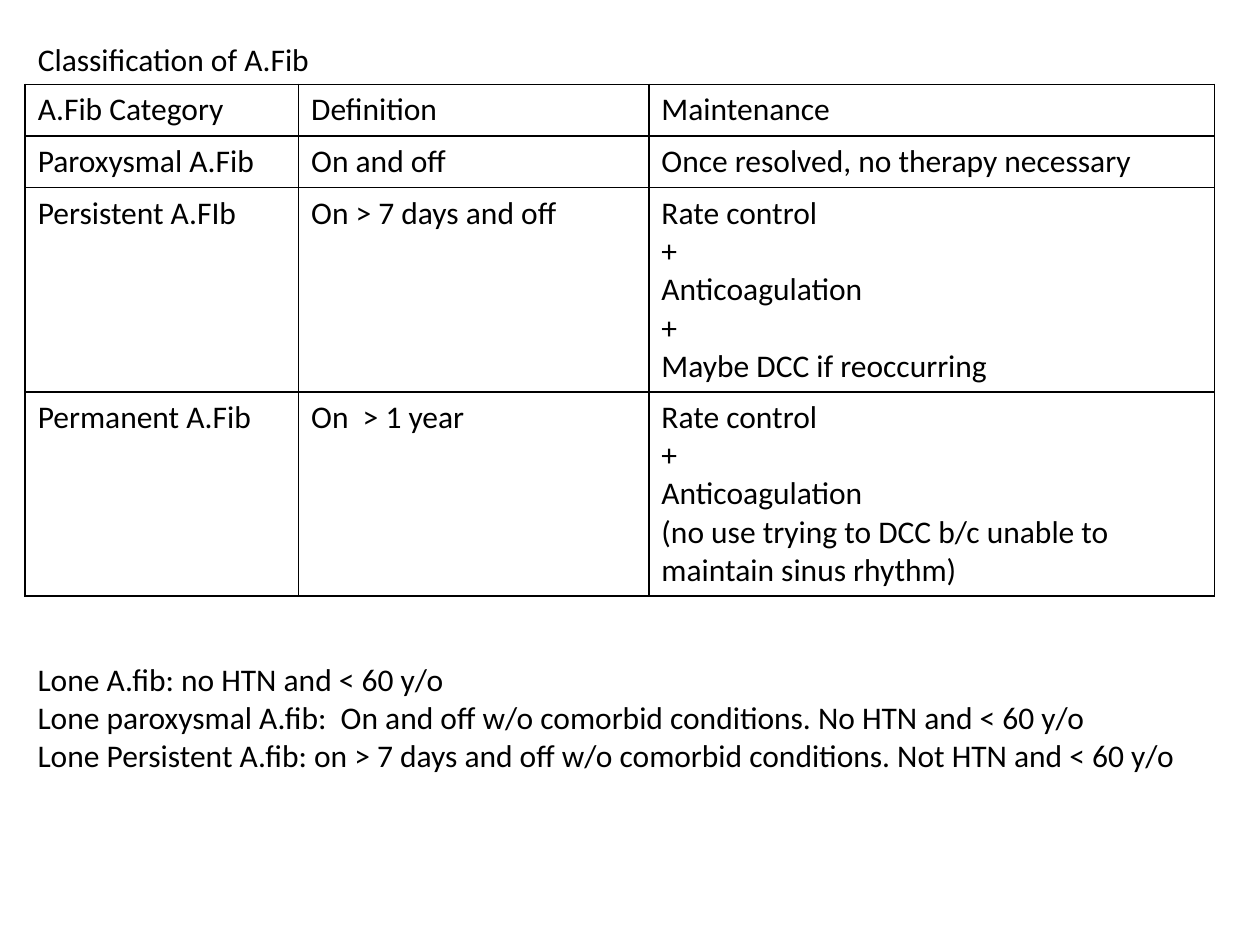
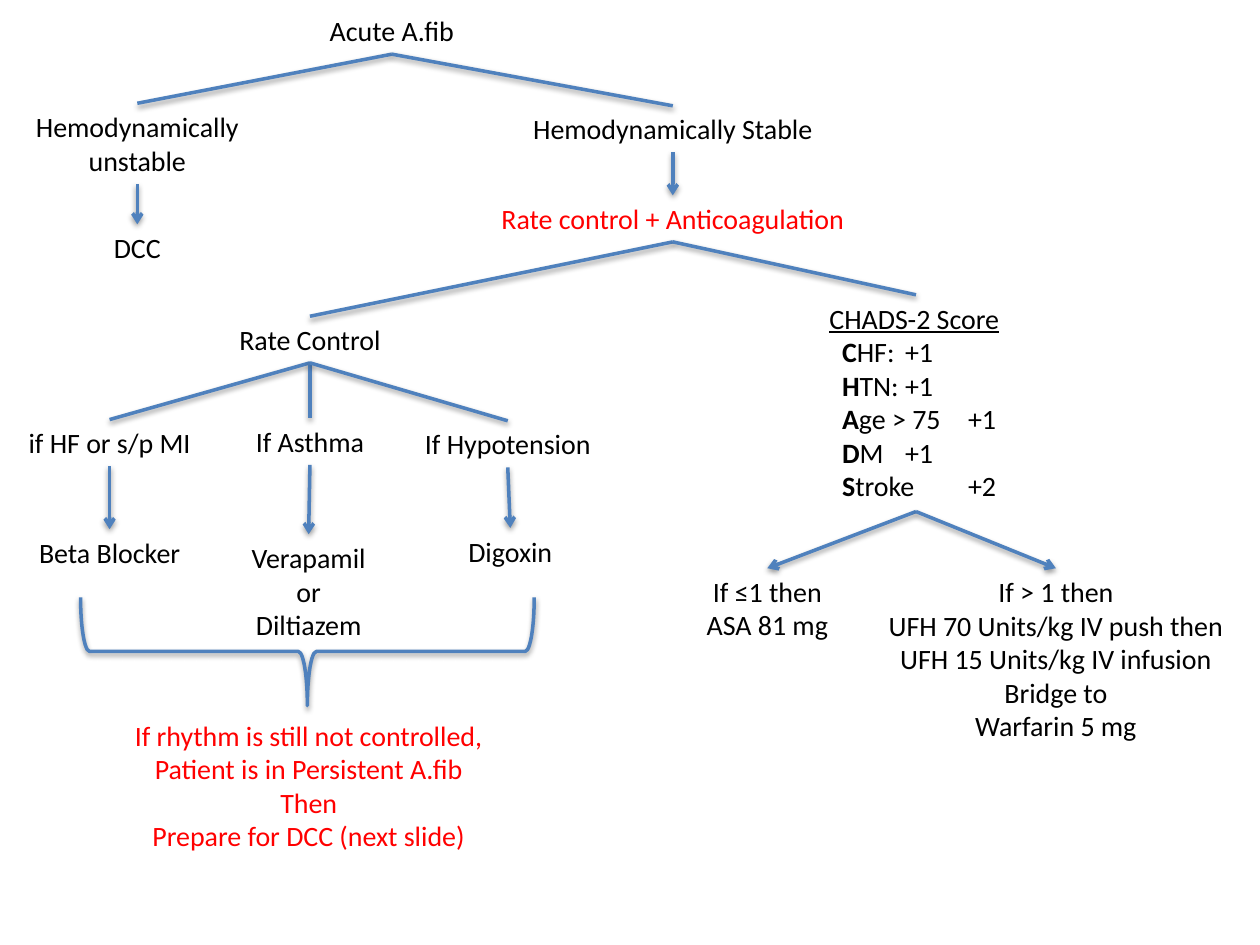
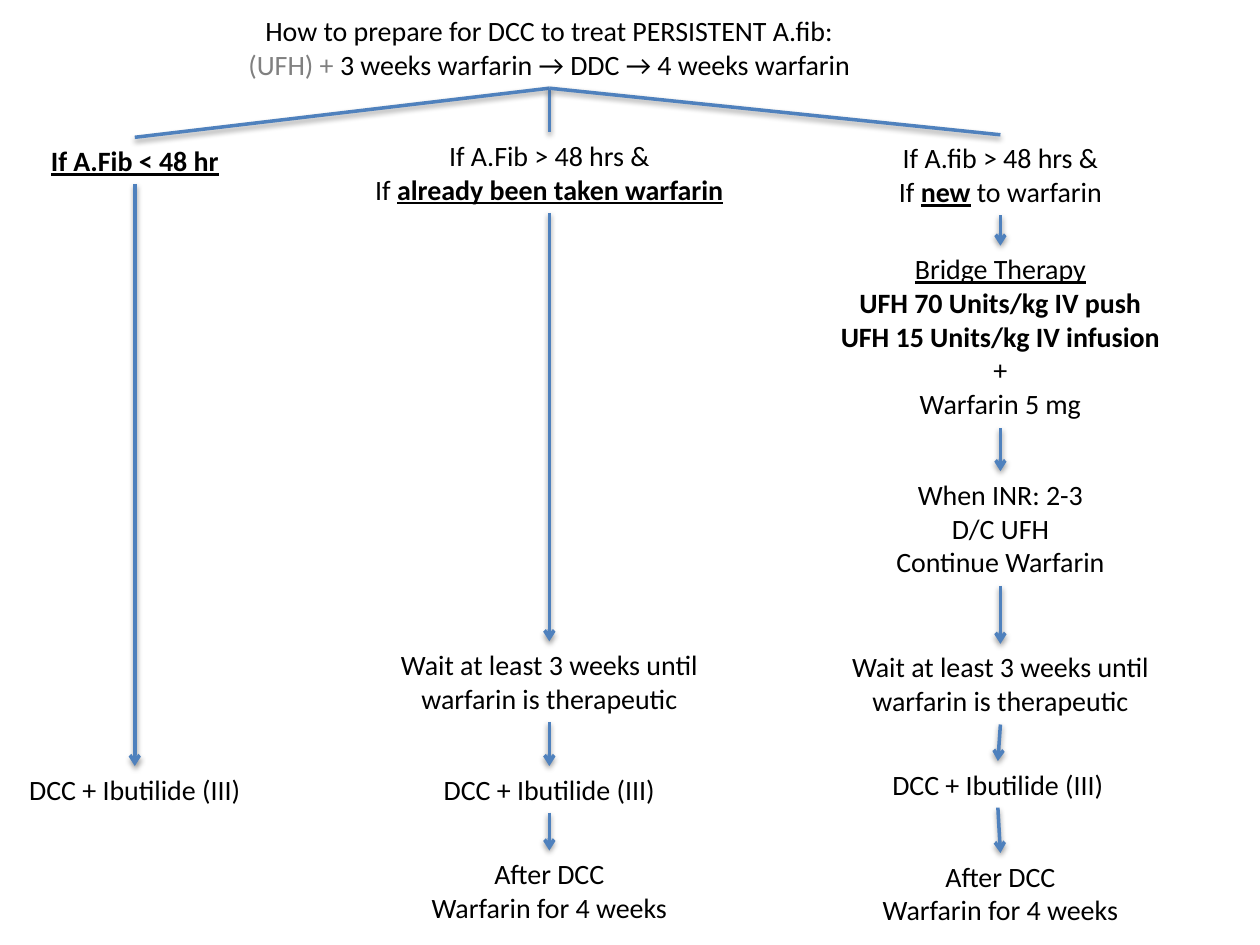
"""Build three slides on the classification and treatment of atrial fibrillation."""
from lxml import etree
from pptx import Presentation
from pptx.dml.color import RGBColor
from pptx.enum.shapes import MSO_CONNECTOR, MSO_SHAPE
from pptx.enum.text import MSO_ANCHOR, MSO_AUTO_SIZE, PP_ALIGN
from pptx.oxml import parse_xml
from pptx.oxml.ns import nsdecls, qn
from pptx.util import Inches, Pt

COLORS = {"text": "000000", "alert": "FF0000", "muted": "808080", "line": "4F81BD"}
FONT = "Calibri"
BOLD, UNDERLINE = {"bold": True}, {"underline": True}
KEY = BOLD | UNDERLINE
SHADOW = (
    f'<a:effectLst {nsdecls("a")}><a:outerShdw blurRad="40000" dist="20000" dir="5400000" '
    'rotWithShape="0"><a:srgbClr val="000000"><a:alpha val="38000"/></a:srgbClr>'
    "</a:outerShdw></a:effectLst>"
)


def write_text(frame, lines, size=16, color="text", align=PP_ALIGN.CENTER, indent=0, tab=0):
    """Write lines, each a string or a list of (text, format) spans."""
    for index, line in enumerate(lines):
        para = frame.paragraphs[0] if index == 0 else frame.add_paragraph()
        para.alignment = align
        if tab and index:
            properties = para._p.get_or_add_pPr()
            properties.set("marL", str(Inches(indent)))
            properties.set("indent", "0")
            stops = etree.SubElement(properties, qn("a:tabLst"))
            etree.SubElement(stops, qn("a:tab"), pos=str(Inches(tab)), algn="l")
        for text, style in [(line, {})] if isinstance(line, str) else line:
            span = para.add_run()
            span.text = text
            span.font.name = FONT
            span.font.size = Pt(size)
            span.font.bold = style.get("bold", False)
            span.font.underline = style.get("underline", False)
            span.font.color.rgb = RGBColor.from_string(COLORS[style.get("color", color)])


def style_line(shape, arrow=False):
    """Give a connector or outline the blue stroke, the soft shadow and an optional arrowhead."""
    shape.line.color.rgb = RGBColor.from_string(COLORS["line"])
    shape.line.width = Pt(2)
    if arrow:
        etree.SubElement(shape.line._get_or_add_ln(), qn("a:tailEnd"), type="arrow")
    shape._element.spPr.append(parse_xml(SHADOW))


deck = Presentation()
deck.slide_width, deck.slide_height = Inches(10), Inches(7.5)
title_only = deck.slide_layouts[5]

left, middle, right = 1.07, 4.36, 7.94
wait = ["Wait at least 3 weeks until", "warfarin is therapeutic"]
convert = ["DCC + Ibutilide (III)"]
after = ["After DCC", "Warfarin for 4 weeks"]
left_aligned = {"size": 18, "align": PP_ALIGN.LEFT}
scores = [("C", "HF:", 1), ("H", "TN:", 1), ("A", "ge > 75", 1), ("D", "M", 1), ("S", "troke", 2)]

classification = {
    "title": (1.39, 0.27, 2.38, ["Classification of A.Fib"], left_aligned),
    "lone types": (4.88, 5.19, 9.36, [
        "Lone A.fib: no HTN and < 60 y/o",
        "Lone paroxysmal A.fib:  On and off w/o comorbid conditions. No HTN and < 60 y/o",
        "Lone Persistent A.fib: on > 7 days and off w/o comorbid conditions. Not HTN and < 60 y/o",
    ], left_aligned),
}
acute = {
    "title": (3.11, 0.06, 1.21, ["Acute A.fib"], {}),
    "unstable": (1.09, 0.82, 1.83, ["Hemodynamically", "unstable"], {}),
    "shock": (1.09, 1.78, 0.58, ["DCC"], {}),
    "stable": (5.34, 0.84, 2.45, ["Hemodynamically Stable"], {}),
    "therapy": (5.34, 1.55, 2.97, ["Rate control + Anticoagulation"], {"color": "alert"}),
    "rate": (2.46, 2.51, 1.35, ["Rate Control"], {}),
    "heart failure": (0.87, 3.33, 1.51, ["if HF or s/p MI"], {}),
    "beta blocker": (0.87, 4.2, 1.39, ["Beta Blocker"], {}),
    "asthma": (2.46, 3.32, 1.08, ["If Asthma"], {}),
    "calcium blocker": (2.45, 4.24, 1.13, ["Verapamil", "or", "Diltiazem"], {}),
    "hypotension": (4.03, 3.34, 1.52, ["If Hypotension"], {}),
    "digoxin": (4.05, 4.19, 0.88, ["Digoxin"], {}),
    "score": (7.27, 2.34, 1.57, [[("CHADS-2 Score", UNDERLINE)]] + [
        [(initial, BOLD), (f"{rest}\t+{points}", {})] for initial, rest, points in scores
    ], {"align": PP_ALIGN.LEFT, "indent": 0.1, "tab": 1}),
    "low score": (6.09, 4.51, 1.18, ["If ≤1 then", "ASA 81 mg"], {}),
    "high score": (8.38, 4.51, 2.89, [
        "If > 1 then", "UFH 70 Units/kg IV push then", "UFH 15 Units/kg IV infusion",
        "Bridge to", "Warfarin 5 mg",
    ], {}),
    "persistent": (2.45, 5.65, 3.01, [
        "If rhythm is still not controlled,", "Patient is in Persistent A.fib",
        "Then", "Prepare for DCC (next slide)",
    ], {"color": "alert"}),
}
preparation = {
    "title": (middle, 0.06, 5.09, [
        "How to prepare for DCC to treat PERSISTENT A.fib:",
        [("(UFH) + ", {"color": "muted"}), ("3 weeks warfarin → DDC → 4 weeks warfarin", {})],
    ], {}),
    "early": (left, 1.09, 1.55, [[("If A.Fib < 48 hr", KEY)]], {}),
    "early convert": (left, 6.08, 1.9, convert, {}),
    "treated": (middle, 1.05, 3.02, [
        "If A.Fib > 48 hrs &", [("If ", {}), ("already been taken warfarin", KEY)],
    ], {}),
    "treated wait": (middle, 5.09, 2.61, wait, {}),
    "treated convert": (middle, 6.08, 1.9, convert, {}),
    "treated after": (middle, 6.75, 2.12, after, {}),
    "new": (right, 1.07, 1.85, [
        "If A.fib > 48 hrs &", [("If ", {}), ("new", KEY), (" to warfarin", {})],
    ], {}),
    "bridge": (right, 1.95, 2.77, [
        [("Bridge Therapy", UNDERLINE)], [("UFH 70 Units/kg IV push", BOLD)],
        [("UFH 15 Units/kg IV infusion", BOLD)], "+", "Warfarin 5 mg",
    ], {}),
    "target": (right, 3.74, 1.89, ["When INR: 2-3", "D/C UFH", "Continue Warfarin"], {}),
    "new wait": (right, 5.11, 2.61, wait, {}),
    "new convert": (right - 0.02, 6.04, 1.9, convert, {}),
    "new after": (right, 6.77, 2.12, after, {}),
}
acute_branches = [
    ("title", "unstable"), ("title", "stable"), ("therapy", "rate"), ("therapy", "score"),
    ("rate", "heart failure"), ("rate", "asthma"), ("rate", "hypotension"),
]
acute_arrows = [
    ("unstable", "shock"), ("stable", "therapy"), ("heart failure", "beta blocker"),
    ("asthma", "calcium blocker"), ("hypotension", "digoxin"),
    ("score", "low score"), ("score", "high score"),
]
preparation_branches = [("title", "early"), ("title", "treated"), ("title", "new")]
preparation_arrows = [
    ("early", "early convert"), ("treated", "treated wait"),
    ("treated wait", "treated convert"), ("treated convert", "treated after"),
    ("new", "bridge"), ("bridge", "target"), ("target", "new wait"),
    ("new wait", "new convert"), ("new convert", "new after"),
]

pages = []
for texts, branches, arrows in [
    (classification, [], []),
    (acute, acute_branches, acute_arrows),
    (preparation, preparation_branches, preparation_arrows),
]:
    page = deck.slides.add_slide(title_only)
    pages.append(page)
    boxes = {}
    for name, (center, top, width, lines, style) in texts.items():
        box = page.shapes.title if name == "title" else page.shapes.add_textbox(0, 0, 0, 0)
        box.left, box.top, box.width = Inches(center - width / 2), Inches(top), Inches(width)
        box.height = Inches(round(0.1 + len(lines) * style.get("size", 16) * 0.0169, 2))
        frame = box.text_frame
        frame.word_wrap = False
        frame.auto_size = MSO_AUTO_SIZE.SHAPE_TO_FIT_TEXT
        frame.vertical_anchor = MSO_ANCHOR.TOP
        write_text(frame, lines, **style)
        boxes[name] = box
    for start, end in branches + arrows:
        link = page.shapes.add_connector(MSO_CONNECTOR.STRAIGHT, 0, 0, 0, 0)
        link.begin_connect(boxes[start], 2)
        link.end_connect(boxes[end], 0)
        style_line(link, arrow=(start, end) in arrows)

rows = [
    ["A.Fib Category", "Definition", "Maintenance"],
    ["Paroxysmal A.Fib", "On and off", "Once resolved, no therapy necessary"],
    ["Persistent A.FIb", "On > 7 days and off",
     "Rate control\n+\nAnticoagulation\n+\nMaybe DCC if reoccurring"],
    ["Permanent A.Fib", "On  > 1 year",
     "Rate control\n+\nAnticoagulation\n"
     "(no use trying to DCC b/c unable to maintain sinus rhythm)"],
]
widths, heights = [2.17, 2.78, 4.49], [0.41, 0.41, 1.62, 1.62]
table = pages[0].shapes.add_table(
    len(rows), len(widths), Inches(0.2), Inches(0.67), Inches(sum(widths)), Inches(sum(heights))
).table
table.first_row = table.horz_banding = False
for column, width in zip(table.columns, widths):
    column.width = Inches(width)
for row, height, texts in zip(table.rows, heights, rows):
    row.height = Inches(height)
    for cell, text in zip(row.cells, texts):
        cell.fill.background()
        write_text(cell.text_frame, text.split("\n"), **left_aligned)
        for position, side in enumerate("LRTB"):
            cell._tc.get_or_add_tcPr().insert(position, parse_xml(
                f'<a:ln{side} {nsdecls("a")} w="12700"><a:solidFill>'
                f'<a:srgbClr val="{COLORS["text"]}"/></a:solidFill></a:ln{side}>'
            ))

brace = pages[1].shapes.add_shape(
    MSO_SHAPE.LEFT_BRACE, Inches(2.01), Inches(3.37), Inches(0.86), Inches(3.6)
)
brace.rotation = 270
brace.fill.background()
style_line(brace)

deck.save("out.pptx")
